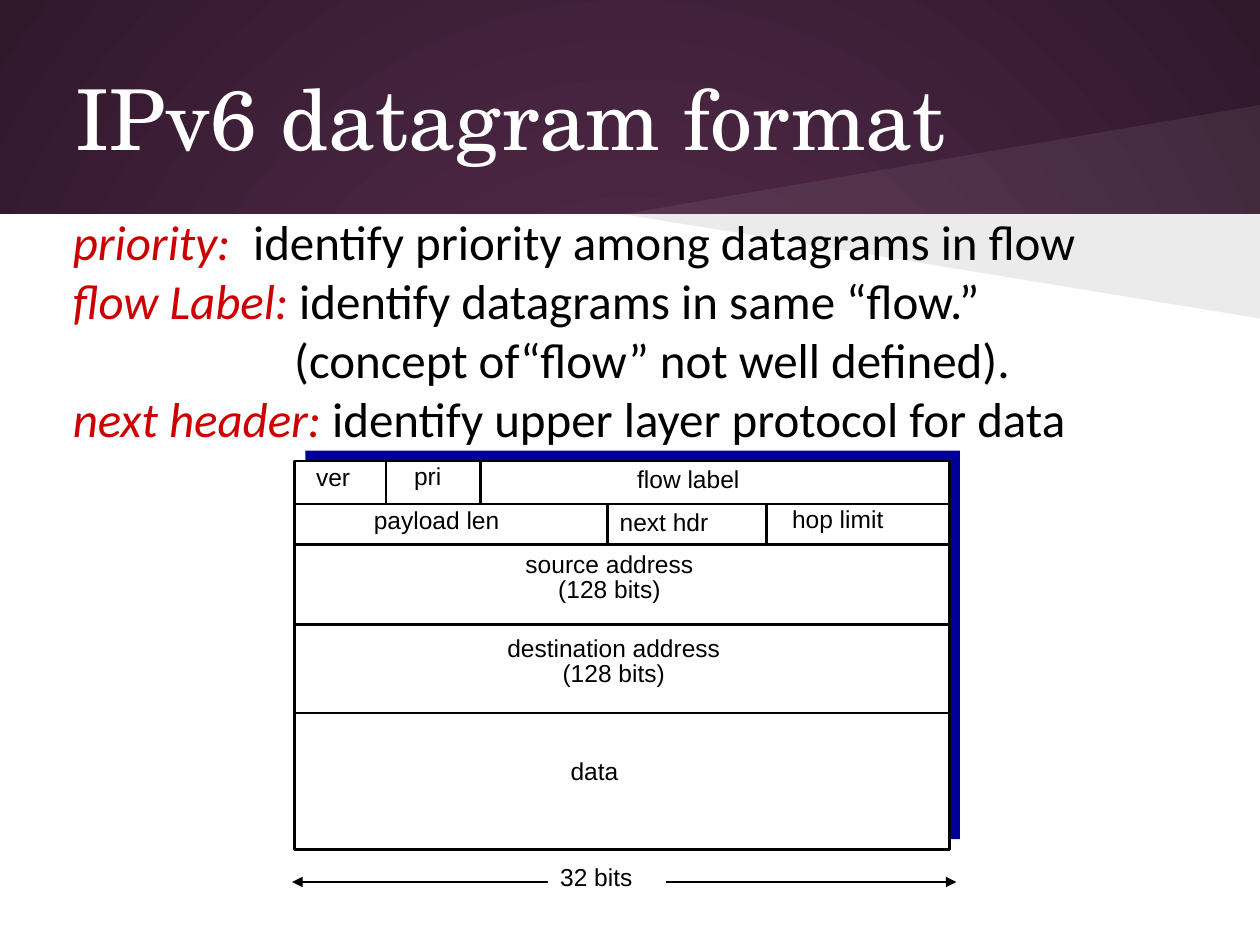
"""Build the slide on the IPv6 datagram format."""
from lxml.etree import SubElement
from pptx import Presentation
from pptx.dml.color import RGBColor
from pptx.enum.shapes import MSO_CONNECTOR, MSO_SHAPE
from pptx.enum.text import MSO_ANCHOR, MSO_AUTO_SIZE, PP_ALIGN
from pptx.oxml.ns import qn
from pptx.util import Pt

WHITE = RGBColor(0xFF, 0xFF, 0xFF)
BLACK = RGBColor(0, 0, 0)
RED = RGBColor(0xCC, 0, 0)
NAVY = RGBColor(0, 0, 0x99)
PLUM = RGBColor(0x59, 0x2D, 0x50)
DARK_PLUM = RGBColor(0x30, 0x18, 0x2B)


def add_run(paragraph, text, font_name, size, color, italic=False):
    run = paragraph.add_run()
    run.text = text
    run.font.name = font_name
    run.font.size = Pt(size)
    run.font.color.rgb = color
    run.font.italic = italic


def add_line(x1, y1, x2, y2, width=1.5):
    line = slide.shapes.add_connector(
        MSO_CONNECTOR.STRAIGHT, Pt(x1), Pt(y1), Pt(x2), Pt(y2))
    line.line.color.rgb = BLACK
    line.line.width = Pt(width)
    SubElement(line._element.spPr, qn("a:effectLst"))
    return line


presentation = Presentation()
presentation.slide_width = Pt(720)
presentation.slide_height = Pt(540)
slide = presentation.slides.add_slide(presentation.slide_layouts[6])

background = slide.background.fill
background.gradient()
for stop, color in zip(background.gradient_stops, (PLUM, DARK_PLUM)):
    stop.color.rgb = color
gradient = slide.background._cSld.find(".//" + qn("a:gradFill"))
gradient.remove(gradient.find(qn("a:lin")))
circle = SubElement(gradient, qn("a:path"), path="circle")
SubElement(circle, qn("a:fillToRect"), l="50000", t="50000", r="50000", b="50000")

header_bottom = 122.4
frame_left, frame_top, frame_width, frame_height = 168.5, 263.5, 374, 222
frame_right = frame_left + frame_width

panel = slide.shapes.add_shape(
    MSO_SHAPE.RECTANGLE, 0, Pt(header_bottom), Pt(720), Pt(540 - header_bottom))
panel.shadow.inherit = False
panel.fill.solid()
panel.fill.fore_color.rgb = WHITE
panel.line.fill.background()

for tip_y, color, alpha in ((60, WHITE, 7000), (182, BLACK, 8000)):
    builder = slide.shapes.build_freeform(Pt(720), Pt(header_bottom))
    builder.add_line_segments(
        [(Pt(356.4), Pt(header_bottom)), (Pt(720), Pt(tip_y))], close=True)
    wedge = builder.convert_to_shape()
    wedge.shadow.inherit = False
    wedge.fill.solid()
    wedge.fill.fore_color.rgb = color
    wedge.line.fill.background()
    SubElement(wedge._element.spPr.find(".//" + qn("a:srgbClr")),
               qn("a:alpha"), val=str(alpha))

title = slide.shapes.add_textbox(Pt(36), Pt(21.6), Pt(648), Pt(90))
title.text_frame.word_wrap = True
title.text_frame.vertical_anchor = MSO_ANCHOR.MIDDLE
add_run(title.text_frame.paragraphs[0], "IPv6 datagram format",
        "TeX Gyre Schola", 48, WHITE)

backdrop = slide.shapes.add_shape(
    MSO_SHAPE.RECTANGLE, Pt(frame_left + 6), Pt(frame_top - 6),
    Pt(frame_width), Pt(frame_height))
backdrop.shadow.inherit = False
backdrop.fill.solid()
backdrop.fill.fore_color.rgb = NAVY
backdrop.line.fill.background()

definitions = (
    ("priority:", "\tidentify priority among datagrams in flow"),
    ("flow Label:", " identify datagrams in same “flow.”"),
    ("", "(concept of“flow” not well defined)."),
    ("next header:", " identify upper layer protocol for data"),
)
body = slide.shapes.add_textbox(Pt(34.5), Pt(117.5), Pt(666), Pt(142))
body.text_frame.word_wrap = True
for index, (term, meaning) in enumerate(definitions):
    paragraph = (body.text_frame.add_paragraph() if index
                 else body.text_frame.paragraphs[0])
    properties = paragraph._p.get_or_add_pPr()
    if meaning.startswith("\t"):
        tabs = SubElement(properties, qn("a:tabLst"))
        SubElement(tabs, qn("a:tab"), pos=str(Pt(103)), algn="l")
    if term:
        add_run(paragraph, term, "Calibri", 28, RED, italic=True)
    else:
        properties.set("marL", str(Pt(126.5)))
        properties.set("indent", "0")
    add_run(paragraph, meaning, "Calibri", 28, BLACK)

frame = slide.shapes.add_shape(
    MSO_SHAPE.RECTANGLE, Pt(frame_left), Pt(frame_top),
    Pt(frame_width), Pt(frame_height))
frame.shadow.inherit = False
frame.fill.solid()
frame.fill.fore_color.rgb = WHITE
frame.line.color.rgb = BLACK
frame.line.width = Pt(1.5)

row_lines = (288, 311, 357, 407.5)
for y in row_lines:
    add_line(frame_left, y, frame_right, y)
for x in (220.5, 274.5):
    add_line(x, frame_top, x, row_lines[0])
for x in (347, 438):
    add_line(x, row_lines[0], x, row_lines[1])

width_arrow = add_line(167, 504, 546.5, 504, 0.75)
arrow_line = width_arrow.line._get_or_add_ln()
for end in ("a:headEnd", "a:tailEnd"):
    SubElement(arrow_line, qn(end), type="triangle")

labels = (
    (("ver",), 173.5, 260.5, 39.5, 29),
    (("pri",), 229.5, 260, 34.5, 29),
    (("flow label",), 357, 261.5, 89.5, 29),
    (("payload len",), 206.5, 285, 106.5, 29),
    (("next hdr",), 347, 286, 79, 29),
    (("hop limit",), 445.5, 284.5, 81.5, 29),
    (("source address", "(128 bits)"), 279.5, 312.5, 137.5, 44),
    (("destination address", "(128 bits)"), 265.5, 360.5, 170.5, 44),
    (("data",), 319, 428.5, 49.5, 29),
    (("32 bits",), 313, 489, 67.5, 29),
)
for lines, left, top, width, height in labels:
    label = slide.shapes.add_textbox(Pt(left), Pt(top), Pt(width), Pt(height))
    label.text_frame.word_wrap = False
    label.text_frame.auto_size = MSO_AUTO_SIZE.SHAPE_TO_FIT_TEXT
    if lines == ("32 bits",):
        label.fill.solid()
        label.fill.fore_color.rgb = WHITE
    for index, text in enumerate(lines):
        paragraph = (label.text_frame.add_paragraph() if index
                     else label.text_frame.paragraphs[0])
        if len(lines) > 1:
            paragraph.alignment = PP_ALIGN.CENTER
            paragraph.line_spacing = 0.85
        add_run(paragraph, text, "Arial", 14, BLACK)

presentation.save("out.pptx")
